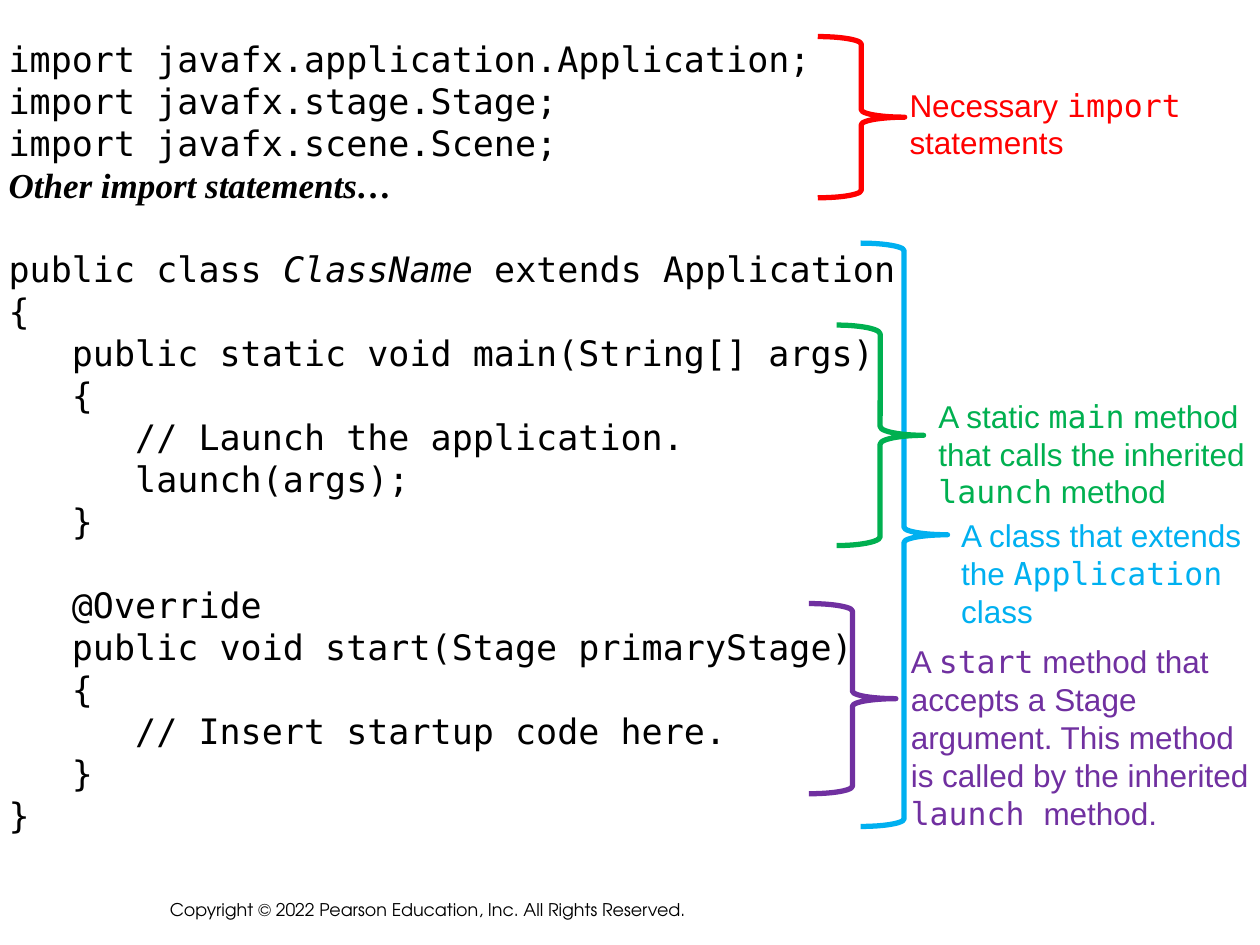
"""Builds a slide that annotates the skeleton of a JavaFX application."""
from pptx import Presentation
from pptx.dml.color import RGBColor
from pptx.enum.shapes import MSO_SHAPE
from pptx.enum.text import MSO_ANCHOR
from pptx.util import Inches, Pt

MONO, SANS, SERIF = "DejaVu Sans Mono", "Arial", "Times New Roman"
BLACK = "000000"
CODE_SIZE, LABEL_SIZE = 20, 18
LINE_PITCH = 24
BRACE_WIDTH = 0.69

COPYRIGHT = "Copyright © 2022 Pearson Education, Inc. All Rights Reserved."

IMPORTS = """import javafx.application.Application;
import javafx.stage.Stage;
import javafx.scene.Scene;"""
OTHER_IMPORTS = "Other import statements…"
CLASS_HEADER = ("public class ", "ClassName", " extends Application")
MAIN_METHOD = """{
   public static void main(String[] args)
   {
      // Launch the application.
      launch(args);
   }"""
START_METHOD = """   @Override
   public void start(Stage primaryStage)
   {
      // Insert startup code here.
   }
}"""

ANNOTATIONS = [
    {"color": "FF0000", "brace": (6.49, 0.29, 1.28), "curl": 0.06,
     "label": (7.12, 0.63, 2.35, 0.7),
     "lines": ["Necessary `import`", "statements"]},
    {"color": "00B0F0", "brace": (6.83, 1.93, 4.63), "curl": 0.06,
     "label": (7.53, 4.05, 2.44, 1),
     "lines": ["A class that extends", "the `Application`", "class"]},
    {"color": "00B050", "brace": (6.64, 2.58, 1.75), "curl": 0.07,
     "label": (7.35, 3.1, 2.63, 1),
     "lines": ["A static `main` method", "that calls the inherited",
               "`launch` method"]},
    {"color": "7030A0", "brace": (6.42, 4.79, 1.51), "curl": 0.06,
     "label": (7.13, 5.05, 2.88, 1.6),
     "lines": ["A `start` method that", "accepts a Stage",
               "argument. This method", "is called by the inherited",
               "`launch `method."]},
]


def rgb(color):
    return RGBColor.from_string(color)


def add_text(shapes, box, lines, size, color, wrap=False):
    """Add a text box; each line is a list of (text, font name) runs."""
    frame = shapes.add_textbox(*map(Inches, box)).text_frame
    frame.word_wrap = wrap
    for index, runs in enumerate(lines):
        paragraph = frame.paragraphs[0] if index == 0 else frame.add_paragraph()
        paragraph.font.size = Pt(size)
        paragraph.font.color.rgb = rgb(color)
        for text, font_name in runs:
            run = paragraph.add_run()
            run.text = text
            run.font.name = font_name
    return frame


def label_runs(line):
    """Split a line at backticks into prose and code runs."""
    return [(text, MONO if index % 2 else SANS)
            for index, text in enumerate(line.split("`")) if text]


def code_lines(block):
    return [[(line, MONO)] for line in block.splitlines()]


def add_code(shapes):
    imports, main, start = map(code_lines, (IMPORTS, MAIN_METHOD, START_METHOD))
    header = [(text, MONO) for text in CLASS_HEADER]
    lines = imports + [[(OTHER_IMPORTS, SERIF)], header] + main + start
    frame = add_text(shapes, (-0.03, 0.25, 7.24, 6.44), lines, CODE_SIZE, BLACK)

    header_row = len(imports) + 1
    start_row = header_row + 1 + len(main)
    for row in (header_row, start_row):
        frame.paragraphs[row].space_before = Pt(LINE_PITCH)
    other_imports = frame.paragraphs[header_row - 1].runs[0]
    other_imports.font.bold = other_imports.font.italic = True
    frame.paragraphs[header_row].runs[1].font.italic = True


def add_annotation(slide, annotation):
    shapes = slide.shapes.add_group_shape().shapes
    left, top, height = annotation["brace"]
    brace = shapes.add_shape(MSO_SHAPE.RIGHT_BRACE, Inches(left), Inches(top),
                             Inches(BRACE_WIDTH), Inches(height))
    brace.adjustments[0] = annotation["curl"] / BRACE_WIDTH
    brace.shadow.inherit = False
    brace.fill.background()
    brace.line.color.rgb = rgb(annotation["color"])
    brace.line.width = Pt(3)
    add_text(shapes, annotation["label"], map(label_runs, annotation["lines"]),
             LABEL_SIZE, annotation["color"])


def main():
    presentation = Presentation()
    presentation.slide_width, presentation.slide_height = Inches(10), Inches(7.5)
    slide = presentation.slides.add_slide(presentation.slide_layouts[6])
    footer = add_text(slide.shapes, (1.25, 7.02, 4.5, 0.33),
                      [[(COPYRIGHT, "TeX Gyre Adventor")]], 10, BLACK, wrap=True)
    footer.vertical_anchor = MSO_ANCHOR.BOTTOM
    add_code(slide.shapes)
    for annotation in ANNOTATIONS:
        add_annotation(slide, annotation)
    presentation.save("out.pptx")


if __name__ == "__main__":
    main()
